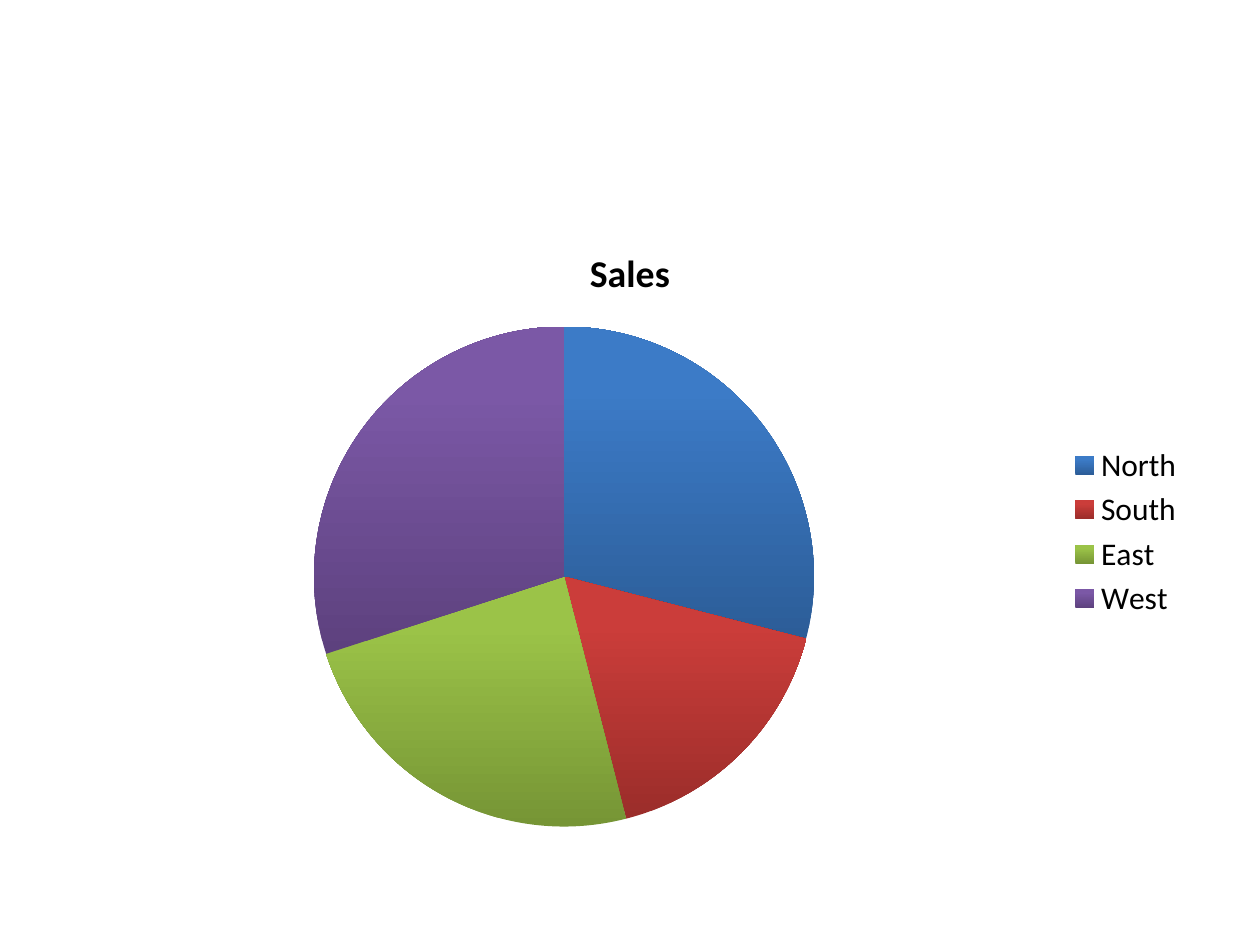
"""Build a slide with a pie chart of sales by region."""
from pptx import Presentation
from pptx.chart.data import CategoryChartData
from pptx.dml.color import RGBColor
from pptx.enum.chart import XL_CHART_TYPE, XL_LEGEND_POSITION
from pptx.util import Pt

SCALE = 914400 // 126
SLIDE_SIZE = (1260, 945)
CHART_BOX = (63, 220, 1134, 624)
TITLE = "Sales"
FONT = "Calibri"
COLORS = {
    "text": "000000",
    "North": ("2C5D98", "3C7BC7"),
    "South": ("9B2D2A", "CB3D3A"),
    "East": ("769535", "9BC348"),
    "West": ("5D417E", "7B58A6"),
}
SALES = {"North": 29, "South": 17, "East": 24, "West": 30}


def style_font(font, size, bold=False):
    font.name = FONT
    font.size = Pt(size)
    font.bold = bold
    font.color.rgb = RGBColor.from_string(COLORS["text"])


def shade_slice(fill, shades):
    fill.gradient()
    fill.gradient_angle = 90
    for stop, shade, position in zip(fill.gradient_stops, shades, (0, 0.8)):
        stop.color.rgb = RGBColor.from_string(shade)
        stop.position = position


deck = Presentation()
deck.slide_width, deck.slide_height = (side * SCALE for side in SLIDE_SIZE)
page = deck.slides.add_slide(deck.slide_layouts[6])

data = CategoryChartData()
data.categories = list(SALES)
data.add_series("Series 1", list(SALES.values()))
box = [length * SCALE for length in CHART_BOX]
chart = page.shapes.add_chart(XL_CHART_TYPE.PIE, *box, data).chart
style_font(chart.font, 18)

chart.has_title = True
title = chart.chart_title
title.include_in_layout = False
title.text_frame.text = TITLE
style_font(title.text_frame.paragraphs[0].runs[0].font, 21.6, bold=True)

chart.has_legend = True
chart.legend.position = XL_LEGEND_POSITION.RIGHT
chart.legend.include_in_layout = False

plot = chart.plots[0]
plot.vary_by_categories = True
for index, region in enumerate(SALES):
    shade_slice(plot.series[0].points[index].format.fill, COLORS[region])

deck.save("out.pptx")
